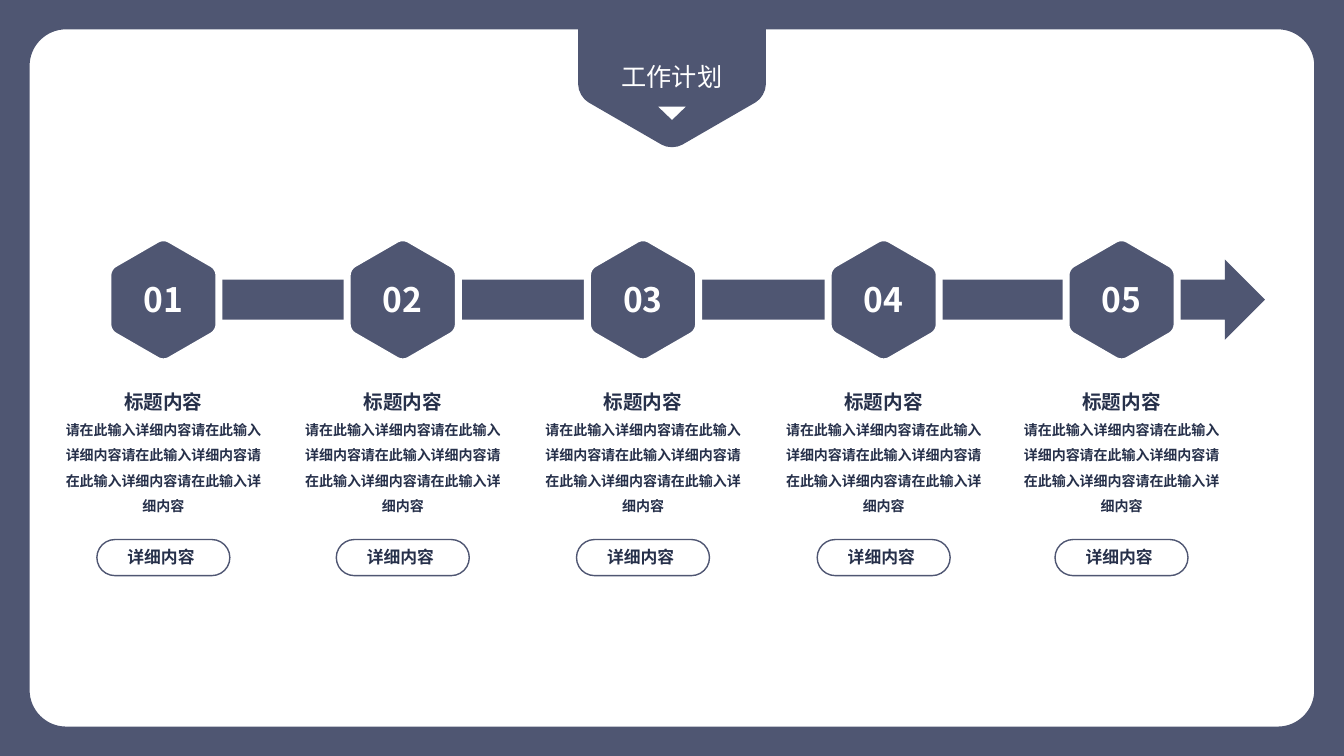
from dataclasses import dataclass
from math import cos, hypot, pi, sin

from lxml.etree import SubElement
from pptx import Presentation
from pptx.dml.color import RGBColor
from pptx.enum.shapes import MSO_SHAPE
from pptx.enum.text import MSO_ANCHOR, MSO_AUTO_SIZE, PP_ALIGN
from pptx.oxml.ns import qn
from pptx.util import Pt


@dataclass(frozen=True)
class Theme:
    font: str = "Noto Sans CJK SC"
    slate: str = "4F5672"
    ink: str = "26304A"
    white: str = "FFFFFF"
    number: int = 24
    title: int = 18
    heading: int = 14
    label: int = 12
    body: int = 10


def rect(left, top, right, bottom):
    return [(left, top), (right, top), (right, bottom), (left, bottom)]


def corner_curves(corners, cut):
    points = []
    for i, (x, y) in enumerate(corners):
        before, after = corners[i - 1], corners[(i + 1) % len(corners)]
        for (nx, ny), share in ((before, 1), (before, 0.45), (after, 0.45), (after, 1)):
            step = share * cut / hypot(nx - x, ny - y)
            points.append((x + (nx - x) * step, y + (ny - y) * step))
    return points


class Deck:
    def __init__(self, theme, width, height):
        self.theme = theme
        self.prs = Presentation()
        self.prs.slide_width, self.prs.slide_height = Pt(width), Pt(height)
        self.s = self.prs.slides.add_slide(self.prs.slide_layouts[6])

    def style(self, sp, fill=None, line=None, weight=1):
        sp.shadow.inherit = False
        if fill:
            sp.fill.solid()
            sp.fill.fore_color.rgb = RGBColor.from_string(fill)
        else:
            sp.fill.background()
        if line:
            sp.line.color.rgb = RGBColor.from_string(line)
            sp.line.width = Pt(weight)
        else:
            sp.line.fill.background()
        return sp

    def shape(self, kind, x, y, w, h, **look):
        sp = self.s.shapes.add_shape(kind, Pt(x), Pt(y), Pt(w), Pt(h))
        return self.style(sp, **look)

    def rounded(self, corners, cut, around=None, **look):
        start, *rest = [(Pt(x), Pt(y)) for x, y in corner_curves(corners, cut)]
        fb = self.s.shapes.build_freeform(*start)
        fb.add_line_segments(rest, close=True)
        if around:
            start, *rest = [(Pt(x), Pt(y)) for x, y in around]
            fb.move_to(*start)
            fb.add_line_segments(rest, close=True)
        sp = fb.convert_to_shape()
        outline = next(sp._element.iter(qn("a:path")))
        segments = list(outline)[1:4 * len(corners)]
        for i in range(0, len(segments), 4):
            curve = SubElement(outline, qn("a:cubicBezTo"))
            segments[i].addprevious(curve)
            for segment in segments[i:i + 3]:
                curve.append(segment[0])
                outline.remove(segment)
        return self.style(sp, **look)

    def hexagon(self, cx, cy, radius, cut, **look):
        angles = [pi / 6 + i * pi / 3 for i in range(6)]
        corners = [(cx + radius * cos(a), cy + radius * sin(a)) for a in angles]
        return self.rounded(corners, cut, **look)

    def textbox(self, x, y, w, h):
        tf = self.s.shapes.add_textbox(Pt(x), Pt(y), Pt(w), Pt(h)).text_frame
        tf.word_wrap = True
        tf.auto_size = MSO_AUTO_SIZE.SHAPE_TO_FIT_TEXT
        return tf

    def text(self, tf, text, *, size, color, bold=False, spacing=None):
        p = tf.add_paragraph() if tf.text else tf.paragraphs[0]
        p.alignment = PP_ALIGN.CENTER
        p.line_spacing = spacing
        r = p.add_run()
        r.text = text
        r.font.size, r.font.bold = Pt(size), bold
        r.font.color.rgb = RGBColor.from_string(color)
        r.font.name = self.theme.font
        SubElement(r.font._element, qn("a:ea"), typeface=self.theme.font)


def main():
    th = Theme()
    deck = Deck(th, 960, 540)

    deck.rounded(rect(21.2, 21, 938.8, 519), 26, around=rect(-0.7, 0, 961.2, 540), fill=th.slate)
    deck.hexagon(480, 30.2, 77.4, 8.4, fill=th.slate)
    deck.text(deck.textbox(427.5, 40.2, 105, 29), "工作计划", size=th.title, color=th.white)
    marker = deck.shape(MSO_SHAPE.ISOSCELES_TRIANGLE, 470.2, 76.2, 19.6, 9.4, fill=th.white)
    marker.rotation = 180

    deck.shape(MSO_SHAPE.RIGHT_ARROW, 133.2, 185.3, 770.4, 57.4, fill=th.slate)
    for i, cx in enumerate((116.7, 287.7, 459.3, 631.2, 801.1), 1):
        deck.hexagon(cx, 214.2, 45.8, 5, fill=th.slate, line=th.white, weight=5)
        deck.text(deck.textbox(cx - 23.8, 195.8, 47.6, 36), f"{i:02}",
                  size=th.number, color=th.white, bold=True)
        tf = deck.textbox(cx - 77.4, 266.5, 154.8, 105)
        deck.text(tf, "标题内容", size=th.heading, color=th.ink, bold=True, spacing=1.5)
        deck.text(tf, "请在此输入详细内容" * 5, size=th.body, color=th.ink, bold=True, spacing=1.5)
        pill = deck.shape(MSO_SHAPE.ROUNDED_RECTANGLE, cx - 47.5, 385.4, 95, 25.8, line=th.slate)
        pill.adjustments[0] = 0.5
        pill.text_frame.vertical_anchor = MSO_ANCHOR.MIDDLE
        pill.text_frame.margin_right = Pt(10.4)
        deck.text(pill.text_frame, "详细内容", size=th.label, color=th.ink, bold=True, spacing=0.9)

    deck.prs.save("out.pptx")


if __name__ == "__main__":
    main()
